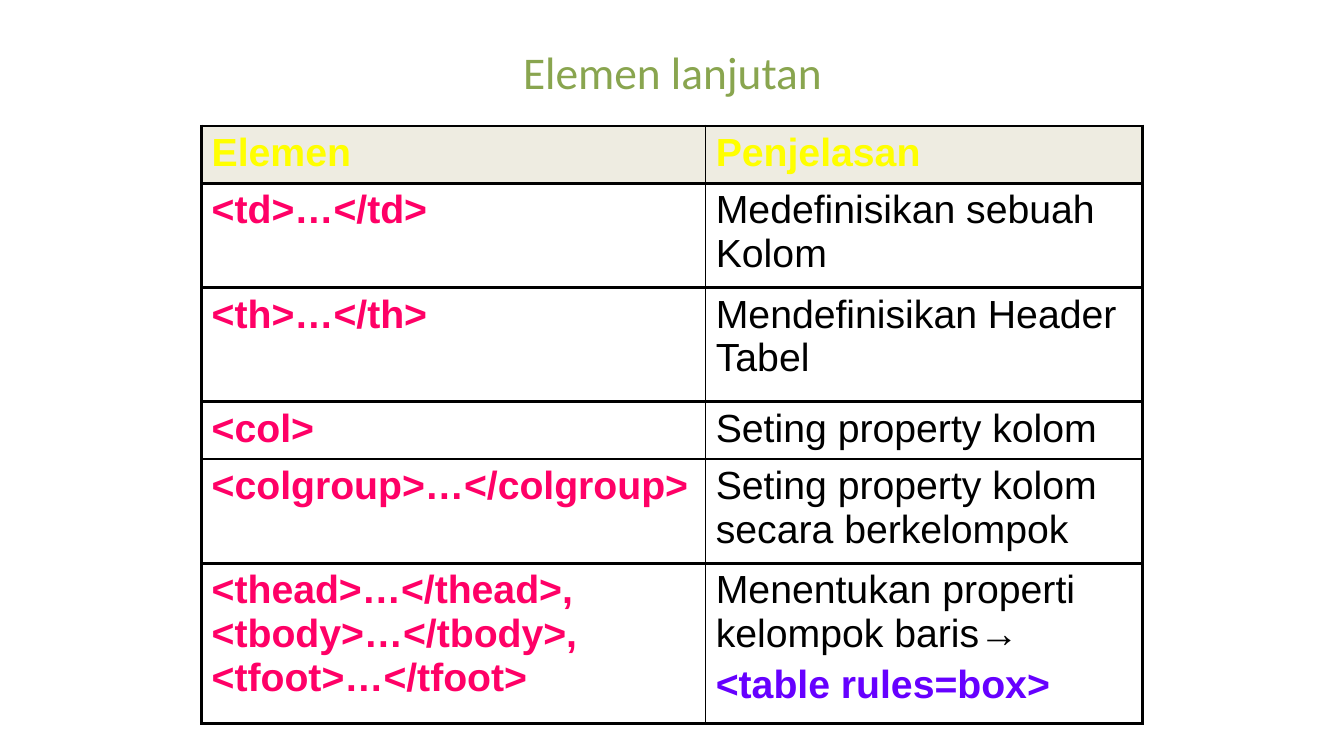
"""Build a slide with a table of HTML table elements."""
from dataclasses import dataclass

import pptx
import pptx.dml.color
import pptx.enum.text
import pptx.oxml
import pptx.oxml.ns
import pptx.util

PX = 9144


@dataclass(frozen=True)
class Theme:
    """Hold the colours, fonts and sizes of the slide."""
    title: str = "89A54F"
    head: str = "FFFF00"
    band: str = "EEECE1"
    tag: str = "FF0066"
    body: str = "000000"
    code: str = "6600FF"
    rule: str = "000000"
    title_font: str = "Calibri"
    font: str = "Arial"
    title_size: float = 32.4
    size: float = 28
    gap: float = 5.6
    thick: float = 2.25
    thin: float = 1


THEME = Theme()
WIDTHS = [500, 433]
HEIGHTS = [57, 103, 113, 57, 103, 159]
HEADS = ["Elemen", "Penjelasan"]
ROWS = [
    ("<td>…</td>", ["Medefinisikan sebuah Kolom"]),
    ("<th>…</th>", ["Mendefinisikan Header Tabel"]),
    ("<col>", ["Seting property kolom"]),
    ("<colgroup>…</colgroup>", ["Seting property kolom secara berkelompok"]),
    ("<thead>…</thead>, <tbody>…</tbody>, <tfoot>…</tfoot>",
     ["Menentukan properti kelompok baris→", "<table rules=box>"]),
]


def color(code):
    """Turn a hex code into a colour."""
    return pptx.dml.color.RGBColor.from_string(code)


def add_run(para, text, font, size, hue, bold=False):
    """Add one styled run to a paragraph."""
    run = para.add_run()
    run.text = text
    run.font.name = font
    run.font.size = pptx.util.Pt(size)
    run.font.bold = bold
    run.font.color.rgb = color(hue)


def add_title(slide, text, left, top, width, height):
    """Add the centred title."""
    box = slide.shapes.add_textbox(left * PX, top * PX, width * PX, height * PX)
    frame = box.text_frame
    frame.word_wrap = True
    frame.vertical_anchor = pptx.enum.text.MSO_ANCHOR.MIDDLE
    para = frame.paragraphs[0]
    para.alignment = pptx.enum.text.PP_ALIGN.CENTER
    add_run(para, text, THEME.title_font, THEME.title_size, THEME.title)


def add_rules(cell, sides):
    """Draw the borders of a cell, given points by side."""
    props = cell._tc.get_or_add_tcPr()
    space = pptx.oxml.ns.nsdecls("a")
    for side, points in sides.items():
        props.append(pptx.oxml.parse_xml(
            f'<a:ln{side} {space} w="{pptx.util.Pt(points)}"><a:solidFill>'
            f'<a:srgbClr val="{THEME.rule}"/></a:solidFill></a:ln{side}>'))


def fill_cell(cell, lines, band=None):
    """Write styled lines in a cell and set its fill."""
    if band:
        cell.fill.solid()
        cell.fill.fore_color.rgb = color(band)
    else:
        cell.fill.background()
    frame = cell.text_frame
    for index, (text, hue, bold) in enumerate(lines):
        para = frame.add_paragraph() if index else frame.paragraphs[0]
        if index:
            para.space_before = pptx.util.Pt(THEME.gap)
        add_run(para, text, THEME.font, THEME.size, hue, bold)


def add_grid(slide, left, top):
    """Add the ruled table with its header and rows."""
    table = slide.shapes.add_table(
        len(HEIGHTS), len(WIDTHS), left * PX, top * PX,
        sum(WIDTHS) * PX, sum(HEIGHTS) * PX).table
    table.first_row = table.horz_banding = False
    for col, width in zip(table.columns, WIDTHS):
        col.width = width * PX
    for row, height in zip(table.rows, HEIGHTS):
        row.height = height * PX
        for index, cell in enumerate(row.cells):
            add_rules(cell, {
                "L": THEME.thin if index else THEME.thick,
                "R": THEME.thick if index else THEME.thin,
                "T": THEME.thick, "B": THEME.thick})
    for index, head in enumerate(HEADS):
        fill_cell(table.cell(0, index), [(head, THEME.head, True)], THEME.band)
    for index, (tag, (note, *codes)) in enumerate(ROWS, 1):
        fill_cell(table.cell(index, 0), [(tag, THEME.tag, True)])
        fill_cell(table.cell(index, 1), [(note, THEME.body, False)]
                  + [(code, THEME.code, True) for code in codes])


def main():
    """Build and save the slide."""
    deck = pptx.Presentation()
    deck.slide_width, deck.slide_height = 1333 * PX, 750 * PX
    slide = deck.slides.add_slide(deck.slide_layouts[6])
    add_title(slide, "Elemen lanjutan", 261, 36, 812, 70)
    add_grid(slide, 200, 125)
    deck.save("out.pptx")


if __name__ == "__main__":
    main()
